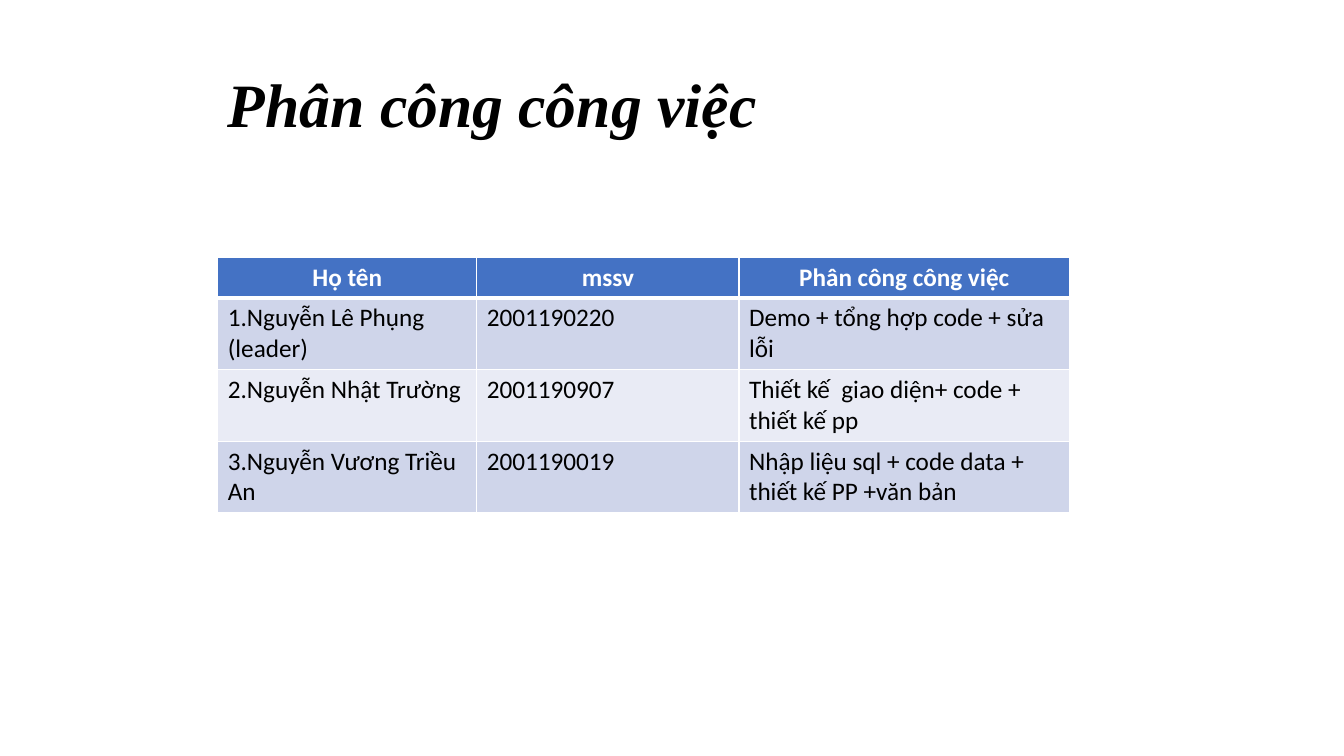
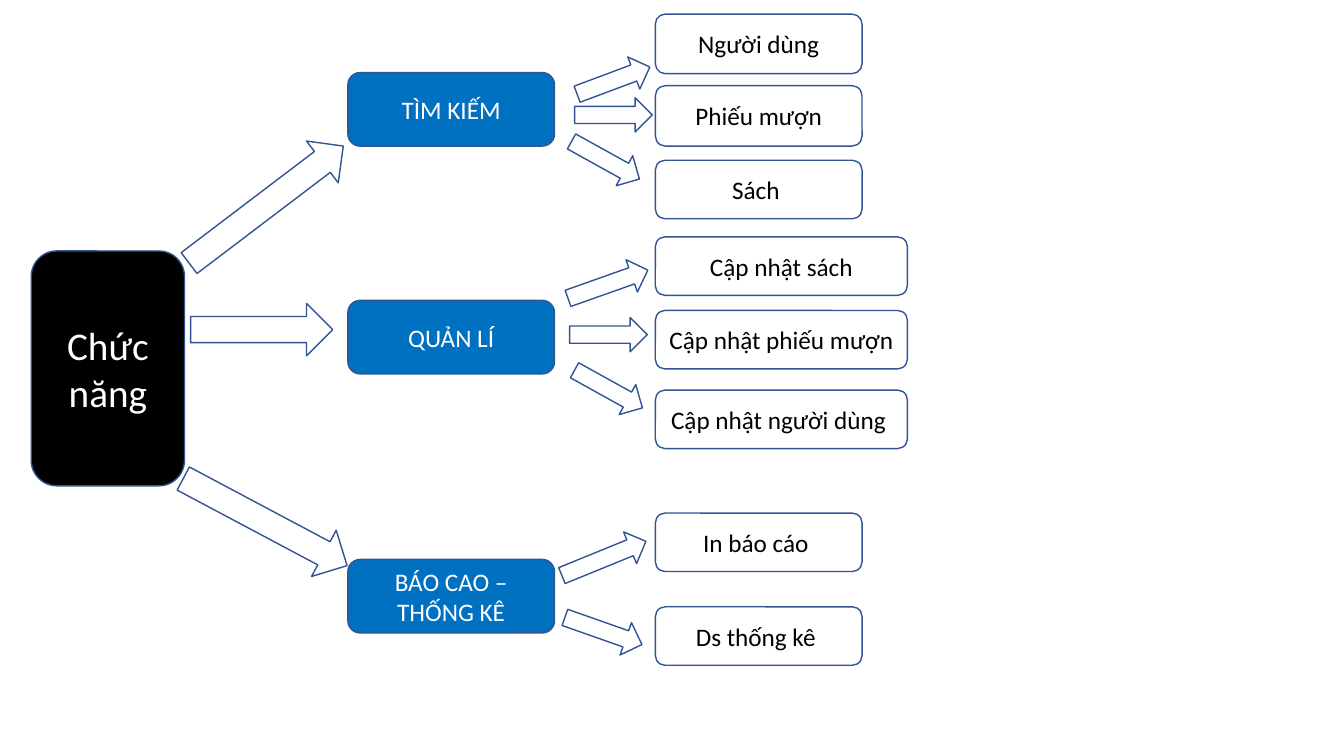
from lxml import etree
from pptx import Presentation
from pptx import util as u
from pptx.dml import color
from pptx.enum import shapes, text
from pptx.oxml import ns

PX = 9144  # EMU per px, 100 px to the inch
SLIDE_SIZE = (1333, 750)
TITLE_ONLY, BLANK = 5, 6

WHITE, BLACK = "FFFFFF", "000000"
HEADER_BLUE, BAND_DARK, BAND_LIGHT = "4472C4", "CFD5EA", "E9EBF5"
TOPIC_BLUE, OUTLINE = "0070C0", "325491"
BODY_FONT, TITLE_FONT = "Calibri", "Times New Roman"

TASKS = [
    ("Họ tên", "mssv", "Phân công công việc"),
    ("1.Nguyễn Lê Phụng (leader)", "2001190220", "Demo + tổng hợp code + sửa lỗi"),
    ("2.Nguyễn Nhật Trường", "2001190907", "Thiết kế  giao diện+ code + thiết kế pp"),
    ("3.Nguyễn Vương Triều An", "2001190019", "Nhập liệu sql + code data + thiết kế PP +văn bản"),
]

# Topic, its top, leaf width, leaves (label, top, height),
# arrows (left, top, width, rotation); all measured from the diagram's corner
BRANCHES = [
    ("TÌM KIẾM", 58, 205,
     [("Người dùng", 0, 59), ("Phiếu mượn", 71, 60), ("Sách ", 145, 58)],
     [(539, 49, 77, -20.5), (539, 83, 77, 0), (531, 128, 77, 29)]),
    ("QUẢN LÍ", 284, 250,
     [("Cập nhật sách", 221, 58), ("Cập nhật phiếu mượn ", 294, 58),
      ("Cập nhật người dùng ", 373, 58)],
     [(530, 251, 84, -19.5), (534, 301, 77, 0), (534, 355, 77, 29)]),
    ("BÁO CAO – THỐNG KÊ", 541, 205,
     [("In báo cáo ", 495, 58), ("Ds thống kê ", 588, 58)],
     [(523, 523, 90, -22.2), (527, 595, 81, 19.4)]),
]
ROOT_ARROWS = [(137, 163, 192, -37.2), (158, 287, 141, 0), (140, 478, 184, 28)]


def px(length):
    return u.Emu(length * PX)


def rgb(value):
    return color.RGBColor.from_string(value)


def add_run(paragraph, words, size, colour, font=BODY_FONT, bold=False, italic=False):
    run = paragraph.add_run()
    run.text = words
    run.font.size = u.Pt(size)
    run.font.name = font
    run.font.bold = bold
    run.font.italic = italic
    run.font.color.rgb = rgb(colour)


def place_title(slide, words, left, top, width, height):
    title = slide.shapes.title
    title.left, title.top, title.width, title.height = map(px, (left, top, width, height))
    frame = title.text_frame
    frame.word_wrap = True
    frame.auto_size = text.MSO_AUTO_SIZE.NONE
    frame.vertical_anchor = text.MSO_ANCHOR.TOP
    paragraph = frame.paragraphs[0]
    paragraph.alignment = text.PP_ALIGN.LEFT
    add_run(paragraph, words, 44, BLACK, TITLE_FONT, bold=True, italic=True)


def set_borders(cell, top, bottom):
    """White cell borders; top and bottom widths in points."""
    properties = cell._tc.get_or_add_tcPr()
    for side, width in (("L", 1), ("R", 1), ("T", top), ("B", bottom)):
        line = etree.SubElement(properties, ns.qn("a:ln" + side), w=str(u.Pt(width)))
        fill = etree.SubElement(line, ns.qn("a:solidFill"))
        etree.SubElement(fill, ns.qn("a:srgbClr"), val=WHITE)


def add_task_table(slide, left, top, column_widths, header_height, row_height):
    heights = [header_height] + [row_height] * (len(TASKS) - 1)
    table = slide.shapes.add_table(
        len(TASKS), len(column_widths), px(left), px(top),
        px(sum(column_widths)), px(sum(heights))).table
    for column, width in zip(table.columns, column_widths):
        column.width = px(width)
    for index, (row, height, words) in enumerate(zip(table.rows, heights, TASKS)):
        row.height = px(height)
        header = index == 0
        band = HEADER_BLUE if header else BAND_DARK if index % 2 else BAND_LIGHT
        for cell, label in zip(row.cells, words):
            set_borders(cell, 3 if index == 1 else 1, 3 if header else 1)
            cell.fill.solid()
            cell.fill.fore_color.rgb = rgb(band)
            paragraph = cell.text_frame.paragraphs[0]
            paragraph.alignment = text.PP_ALIGN.CENTER if header else text.PP_ALIGN.LEFT
            add_run(paragraph, label, 18, WHITE if header else BLACK, bold=header)


def add_outlined(slide, kind, left, top, width, height, fill):
    shape = slide.shapes.add_shape(kind, *map(px, (left, top, width, height)))
    shape.shadow.inherit = False
    shape.fill.solid()
    shape.fill.fore_color.rgb = rgb(fill)
    shape.line.color.rgb = rgb(OUTLINE)
    shape.line.width = u.Pt(1)
    return shape


def add_box(slide, label, left, top, width, height, fill, colour=WHITE, size=18):
    shape = add_outlined(slide, shapes.MSO_SHAPE.ROUNDED_RECTANGLE,
                         left, top, width, height, fill)
    frame = shape.text_frame
    frame.word_wrap = True
    frame.vertical_anchor = text.MSO_ANCHOR.MIDDLE
    paragraph = frame.paragraphs[0]
    paragraph.alignment = text.PP_ALIGN.CENTER
    add_run(paragraph, label, size, colour)


def add_arrows(slide, left, top, arrows, height):
    for x, y, width, rotation in arrows:
        arrow = add_outlined(slide, shapes.MSO_SHAPE.RIGHT_ARROW,
                             left + x, top + y, width, height, WHITE)
        arrow.rotation = rotation


def add_branch(slide, left, top, branch):
    topic, topic_top, leaf_width, leaves, arrows = branch
    add_box(slide, topic, left + 314, top + topic_top, 205, 73, TOPIC_BLUE)
    for label, leaf_top, height in leaves:
        add_box(slide, label, left + 619, top + leaf_top, leaf_width, height, WHITE, BLACK)
    add_arrows(slide, left, top, arrows, 34)


def add_function_tree(slide, left, top):
    add_box(slide, "Chức năng", left, top + 235, 152, 233, BLACK, size=28)
    for branch in BRANCHES:
        add_branch(slide, left, top, branch)
    add_arrows(slide, left, top, ROOT_ARROWS, 52)


def main():
    presentation = Presentation()
    presentation.slide_width, presentation.slide_height = map(px, SLIDE_SIZE)
    layouts = presentation.slide_layouts

    # Work assignment
    slide = presentation.slides.add_slide(layouts[TITLE_ONLY])
    place_title(slide, "Phân công công việc", 216, 60, 773, 84)
    add_task_table(slide, 216, 255, (257, 260, 328), 40, 70)

    # Function tree
    slide = presentation.slides.add_slide(layouts[BLANK])
    add_function_tree(slide, 31, 14)

    presentation.save("out.pptx")


if __name__ == "__main__":
    main()
